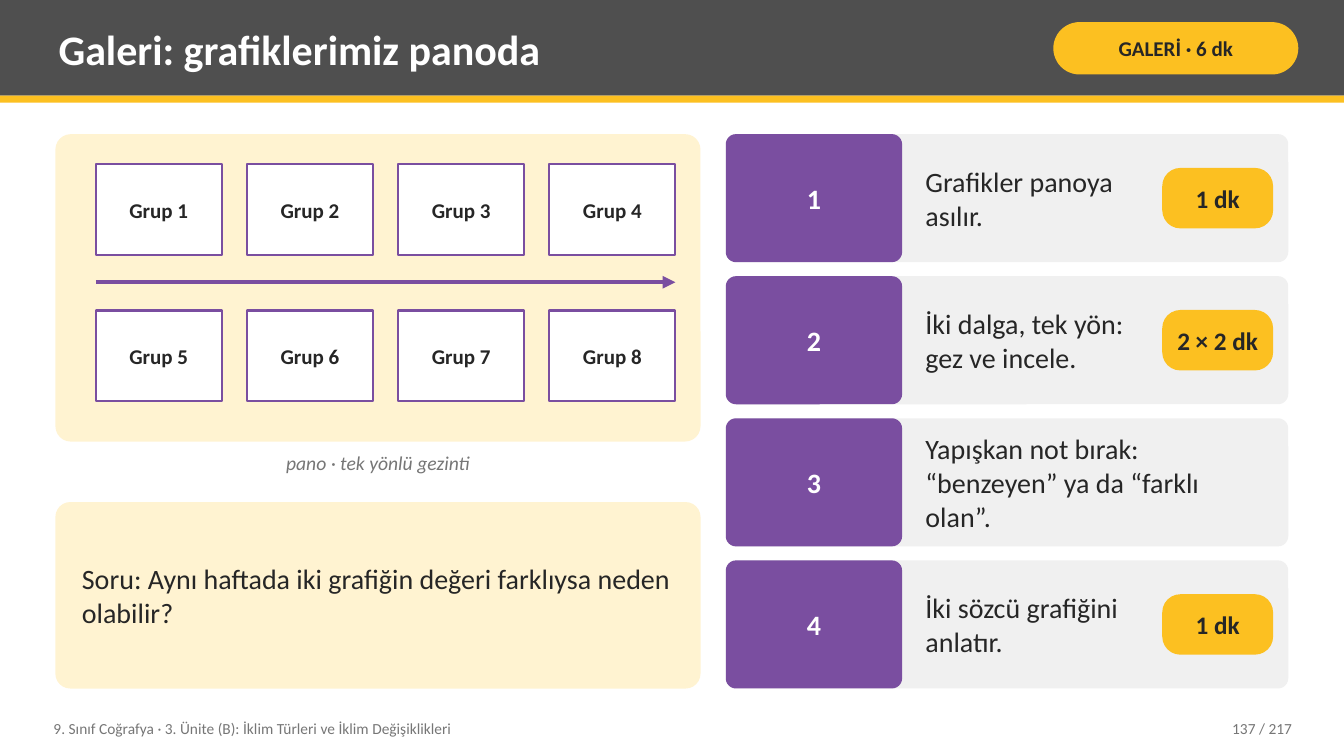
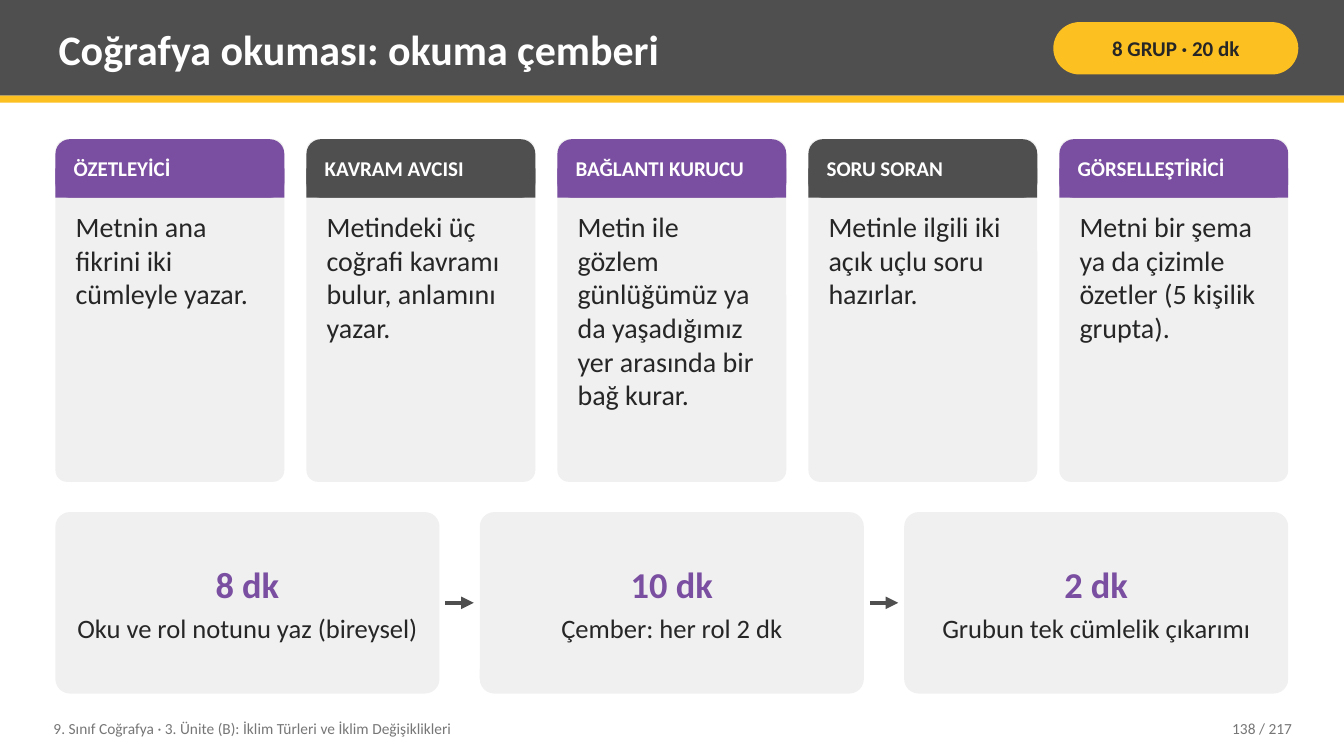
from dataclasses import dataclass, replace
from typing import NamedTuple, Optional

from lxml.etree import SubElement
from pptx import Presentation
from pptx.dml.color import RGBColor
from pptx.enum.shapes import MSO_CONNECTOR as Connector, MSO_SHAPE as Shape
from pptx.enum.text import MSO_ANCHOR as Anchor, MSO_AUTO_SIZE as AutoSize, PP_ALIGN as Align
from pptx.oxml.ns import qn
from pptx.util import Pt

# Colours, font and page measures (points)
DARK, YELLOW, PURPLE = "4F4F4F", "FCC021", "7A4EA0"
CREAM, GREY, WHITE = "FFF3D1", "F0F0F0", "FFFFFF"
INK, MUTED = "262626", "767676"
FONT = "Calibri"
PAGE_WIDTH, PAGE_HEIGHT = 960, 540
LEFT, RIGHT = 39.6, 920.2
FOOTER = "9. Sınıf Coğrafya · 3. Ünite (B): İklim Türleri ve İklim Değişiklikleri"
PAGE_COUNT = 217


class Box(NamedTuple):
    left: float
    top: float
    width: float
    height: float

    def lengths(self) -> list:
        return [Pt(value) for value in self]


@dataclass(frozen=True)
class Style:
    size: float
    color: str = INK
    bold: bool = False
    italic: bool = False
    align: Align = Align.LEFT
    anchor: Anchor = Anchor.MIDDLE
    inset_x: float = 5.8
    inset_y: float = 2.9
    after: float = 0


class Step(NamedTuple):
    text: str
    time: Optional[str] = None


class Role(NamedTuple):
    name: str
    task: str


class Stage(NamedTuple):
    time: str
    task: str


TITLE = Style(30, WHITE, bold=True)
BODY = Style(20)
CAPTION = Style(14, MUTED, italic=True, align=Align.CENTER, anchor=Anchor.TOP)
SMALL = Style(11, MUTED)
LABEL = Style(15, bold=True, align=Align.CENTER)
ROLE_NAME = Style(15, WHITE, bold=True)
STEP_NUMBER = Style(20, WHITE, bold=True, align=Align.CENTER)
PILL = Style(18, bold=True, align=Align.CENTER, inset_x=2, inset_y=0)
STAGE_TIME = Style(26, PURPLE, bold=True, align=Align.CENTER, inset_x=10, after=4)
STAGE_TASK = Style(19, align=Align.CENTER)

STEPS = [
    Step("Grafikler panoya asılır.", "1 dk"),
    Step("İki dalga, tek yön: gez ve incele.", "2 × 2 dk"),
    Step("Yapışkan not bırak: “benzeyen” ya da “farklı olan”."),
    Step("İki sözcü grafiğini anlatır.", "1 dk"),
]
ROLES = [
    Role("ÖZETLEYİCİ", "Metnin ana fikrini iki cümleyle yazar."),
    Role("KAVRAM AVCISI", "Metindeki üç coğrafi kavramı bulur, anlamını yazar."),
    Role("BAĞLANTI KURUCU",
         "Metin ile gözlem günlüğümüz ya da yaşadığımız yer arasında bir bağ kurar."),
    Role("SORU SORAN", "Metinle ilgili iki açık uçlu soru hazırlar."),
    Role("GÖRSELLEŞTİRİCİ", "Metni bir şema ya da çizimle özetler (5 kişilik grupta)."),
]
STAGES = [
    Stage("8 dk", "Oku ve rol notunu yaz (bireysel)"),
    Stage("10 dk", "Çember: her rol 2 dk"),
    Stage("2 dk", "Grubun tek cümlelik çıkarımı"),
]


def rgb(color: str) -> RGBColor:
    return RGBColor.from_string(color)


def write(frame, *parts: tuple[str, Style]) -> None:
    """Fill a text frame with one paragraph per part; the first sets the frame."""
    first = parts[0][1]
    frame.word_wrap = True
    frame.auto_size = AutoSize.NONE
    frame.vertical_anchor = first.anchor
    frame.margin_left = frame.margin_right = Pt(first.inset_x)
    frame.margin_top = frame.margin_bottom = Pt(first.inset_y)
    for index, (text, style) in enumerate(parts):
        para = frame.add_paragraph() if index else frame.paragraphs[0]
        para.text = text
        para.alignment = style.align
        para.space_after = Pt(style.after)
        font = para.font
        font.name, font.size = FONT, Pt(style.size)
        font.bold, font.italic = style.bold, style.italic
        font.color.rgb = rgb(style.color)


def add_text(page, box: Box, text: str, style: Style) -> None:
    write(page.shapes.add_textbox(*box.lengths()).text_frame, (text, style))


def add_panel(page, box: Box, fill: str, *parts: tuple[str, Style],
              corner: float = 0, outline: Optional[str] = None) -> None:
    """Draw a rectangle, rounded when corner is given, with optional text."""
    kind = Shape.ROUNDED_RECTANGLE if corner else Shape.RECTANGLE
    panel = page.shapes.add_shape(kind, *box.lengths())
    panel.shadow.inherit = False
    if corner:
        panel.adjustments[0] = corner
    panel.fill.solid()
    panel.fill.fore_color.rgb = rgb(fill)
    if outline:
        panel.line.color.rgb = rgb(outline)
        panel.line.width = Pt(1.5)
    else:
        panel.line.fill.background()
    if parts:
        write(panel.text_frame, *parts)


def add_arrow(page, start: float, end: float, y: float, color: str) -> None:
    arrow = page.shapes.add_connector(
        Connector.STRAIGHT, Pt(start), Pt(y), Pt(end), Pt(y))
    arrow.line.color.rgb = rgb(color)
    arrow.line.width = Pt(3)
    properties = arrow._element.spPr
    SubElement(properties.find(qn("a:ln")), qn("a:tailEnd"), type="triangle")
    SubElement(properties, qn("a:effectLst"))


def add_page(deck, title: str, badge: str, number: int):
    """Add a slide with header, badge and footer."""
    page = deck.slides.add_slide(deck.slide_layouts[5])
    add_panel(page, Box(0, 0, PAGE_WIDTH, 68.4), DARK)
    add_panel(page, Box(0, 68.4, PAGE_WIDTH, 5), YELLOW)
    heading = page.shapes.title
    heading.left, heading.top, heading.width, heading.height = Box(36, 5, 702, 59).lengths()
    write(heading.text_frame, (title, TITLE))
    page.shapes._spTree.append(heading._element)  # in front of the header band
    add_panel(page, Box(752.4, 15.8, 175, 37.4), YELLOW, (badge, LABEL), corner=0.5)
    add_text(page, Box(32.4, 507, 547.2, 26), FOOTER, SMALL)
    add_text(page, Box(813.6, 507, 115.2, 26), f"{number} / {PAGE_COUNT}",
             replace(SMALL, align=Align.RIGHT))
    return page


def add_step(page, box: Box, number: int, step: Step) -> None:
    add_panel(page, box, GREY, corner=0.08)
    add_panel(page, box._replace(width=126), PURPLE, (str(number), STEP_NUMBER), corner=0.08)
    text_width = 160.6 if step.time else 257.8
    add_text(page, Box(box.left + 136.8, box.top, text_width, box.height), step.text, BODY)
    if step.time:
        width, height = 79.2, 43.2
        pill = Box(RIGHT - 10.8 - width, box.top + (box.height - height) / 2, width, height)
        add_panel(page, pill, YELLOW, (step.time, PILL), corner=0.3)


def add_role(page, box: Box, role: Role, color: str) -> None:
    left, top, width, height = box
    head = 41.8
    add_panel(page, box, GREY, corner=0.05)
    add_panel(page, Box(left, top, width, head), color, corner=0.25)
    add_panel(page, Box(left, top + head / 2, width, head / 2), color)
    add_text(page, Box(left + 7.2, top, width - 14.4, head), role.name, ROLE_NAME)
    add_text(page, Box(left + 8.6, top + 47.5, width - 17.2, height - 53.3), role.task,
             replace(BODY, anchor=Anchor.TOP))


def build_gallery(deck) -> None:
    page = add_page(deck, "Galeri: grafiklerimiz panoda", "GALERİ · 6 dk", 137)
    top, bottom, board_width = 95.8, 491.8, 460.8

    # Board with two rows of groups and the walking direction
    add_panel(page, Box(LEFT, top, board_width, 219.6), CREAM, corner=0.05)
    columns, first_left, pitch, width = 4, 68.4, 108, 90
    for index in range(8):
        row, column = divmod(index, columns)
        group = Box(first_left + column * pitch, 117.4 + row * 104.4, width, 64.8)
        add_panel(page, group, WHITE, (f"Grup {index + 1}", LABEL), outline=PURPLE)
    add_arrow(page, first_left, first_left + (columns - 1) * pitch + width, 201.6, PURPLE)
    add_text(page, Box(LEFT, 319, board_width, 28.8), "pano · tek yönlü gezinti", CAPTION)

    # Steps
    steps_left, gap = 518.4, 10
    height = (bottom - top - gap * (len(STEPS) - 1)) / len(STEPS)
    for index, step in enumerate(STEPS):
        box = Box(steps_left, top + index * (height + gap), RIGHT - steps_left, height)
        add_step(page, box, index + 1, step)

    # Question
    add_panel(page, Box(LEFT, 358.6, board_width, bottom - 358.6), CREAM,
              ("Soru: Aynı haftada iki grafiğin değeri farklıysa neden olabilir?",
               replace(BODY, inset_x=15.8)), corner=0.08)


def build_reading_circle(deck) -> None:
    page = add_page(deck, "Coğrafya okuması: okuma çemberi", "8 GRUP · 20 dk", 138)

    # Role cards
    gap = 15.8
    width = (RIGHT - LEFT - gap * (len(ROLES) - 1)) / len(ROLES)
    for index, role in enumerate(ROLES):
        box = Box(LEFT + index * (width + gap), 99.4, width, 244.8)
        add_role(page, box, role, DARK if index % 2 else PURPLE)

    # Timed stages joined by arrows
    gap, top, height, clearance = 28.8, 365.8, 129.6, 4.3
    width = (RIGHT - LEFT - gap * (len(STAGES) - 1)) / len(STAGES)
    for index, stage in enumerate(STAGES):
        left = LEFT + index * (width + gap)
        if index:
            add_arrow(page, left - gap + clearance, left - clearance, top + height / 2, DARK)
        add_panel(page, Box(left, top, width, height), GREY,
                  (stage.time, STAGE_TIME), (stage.task, STAGE_TASK), corner=0.08)


def main() -> None:
    deck = Presentation()
    deck.slide_width, deck.slide_height = Pt(PAGE_WIDTH), Pt(PAGE_HEIGHT)
    build_gallery(deck)
    build_reading_circle(deck)
    deck.save("out.pptx")


if __name__ == "__main__":
    main()
